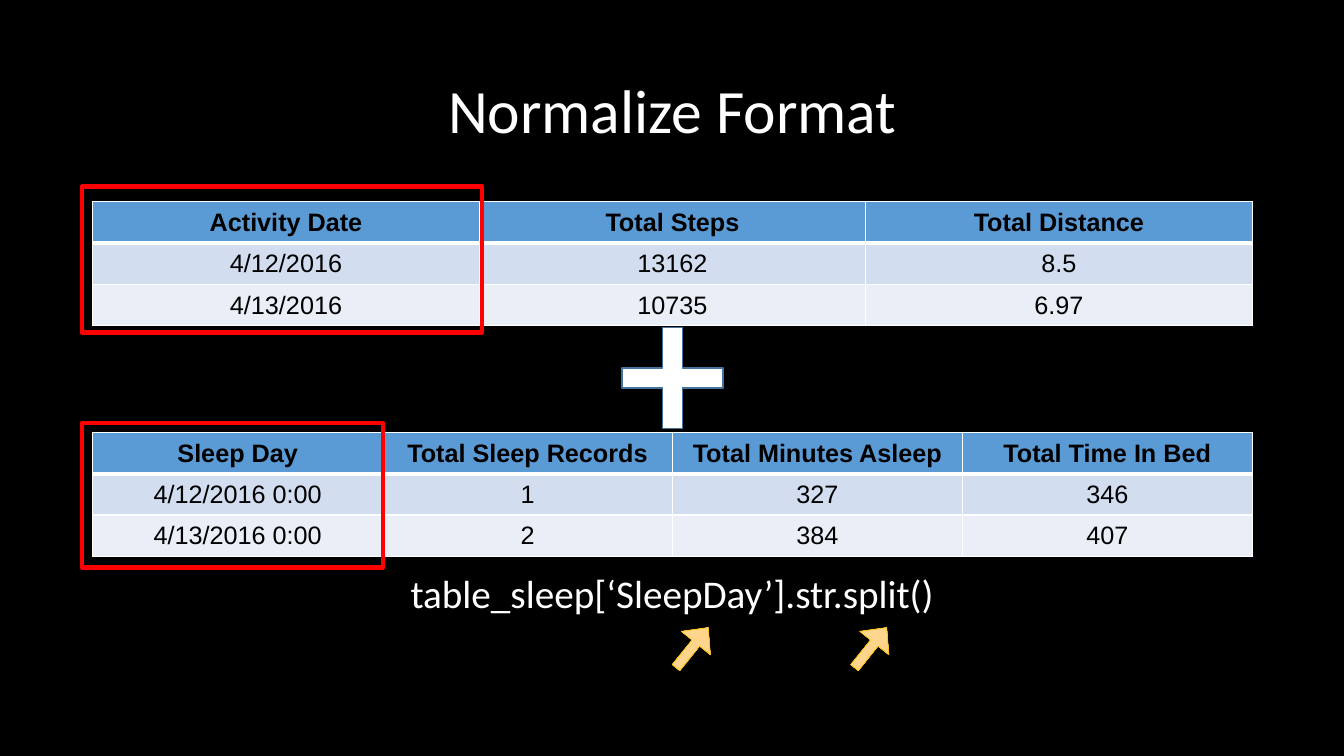
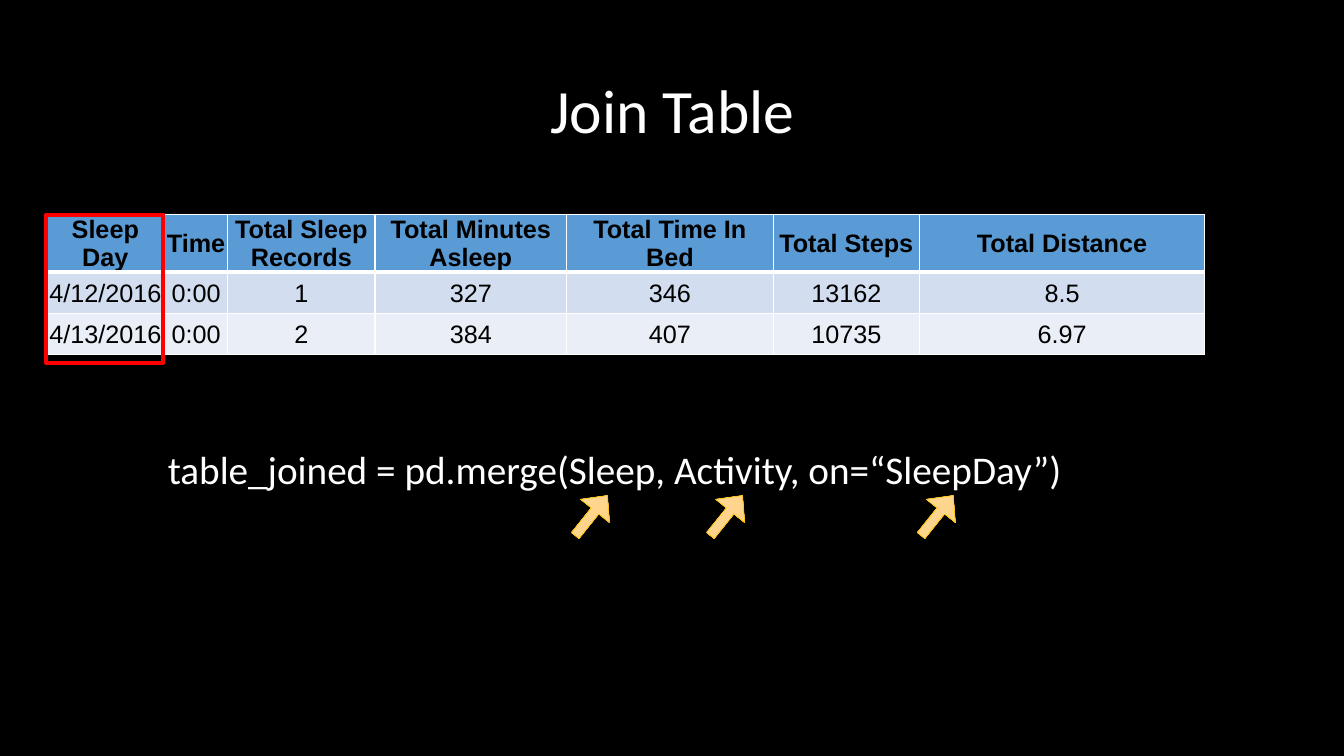
"""Build two slides on normalizing and joining activity and sleep tables."""
import lxml.etree
import pptx
import pptx.dml.color
import pptx.enum.shapes
import pptx.enum.text
import pptx.oxml.ns
import pptx.util

Inches = pptx.util.Inches
Pt = pptx.util.Pt
SHAPES = pptx.enum.shapes.MSO_SHAPE
MIDDLE = pptx.enum.text.MSO_ANCHOR.MIDDLE
CENTER = pptx.enum.text.PP_ALIGN.CENTER
AUTO_SIZE = pptx.enum.text.MSO_AUTO_SIZE
qn = pptx.oxml.ns.qn

BLACK, WHITE, RED = "000000", "FFFFFF", "FF0000"
ROW_FILLS = ["5B9BD5", "D2DEEF", "EAEFF7"]
ARROW_FILLS = ["FFDB9E", "FFD07C"]
ARROW_LINE, PLUS_LINE = "FFC000", "43739E"
ROW_HEIGHT = 0.41

SLIDES = [
    {
        "title": "Normalize Format",
        "tables": [
            (0.92, 2, [11.5 / 3] * 3, [
                ["Activity Date", "Total Steps", "Total Distance"],
                ["4/12/2016", "13162", "8.5"],
                ["4/13/2016", "10735", "6.97"],
            ]),
            (0.92, 4.29, [11.5 / 4] * 4, [
                ["Sleep Day", "Total Sleep Records", "Total Minutes Asleep", "Total Time In Bed"],
                ["4/12/2016 0:00", "1", "327", "346"],
                ["4/13/2016 0:00", "2", "384", "407"],
            ]),
        ],
        "pluses": [(6.17, 3.25, 1, 1)],
        "highlights": [(0.81, 4.2, 2.99, 1.43), (0.81, 1.85, 3.97, 1.45)],
        "code": (1.22, 5.6, "table_sleep[‘SleepDay’].str.split()"),
        "arrows": (6.24, [6.61, 8.38]),
    },
    {
        "title": "Join Table",
        "tables": [
            (0.46, 2.13, [1.17, 0.63, 1.46, 1.9, 2.05, 1.45, 2.83], [
                ["Sleep Day", "Time", "Total Sleep Records", "Total Minutes Asleep",
                 "Total Time In Bed", "Total Steps", "Total Distance"],
                ["4/12/2016", "0:00", "1", "327", "346", "13162", "8.5"],
                ["4/13/2016", "0:00", "2", "384", "407", "10735", "6.97"],
            ]),
        ],
        "pluses": [],
        "highlights": [(0.46, 2.13, 1.16, 1.47)],
        "code": (0.65, 4.37, "table_joined = pd.merge(Sleep, Activity, on=“SleepDay”)"),
        "arrows": (4.93, [5.61, 6.95, 9.04]),
    },
]


def rgb(value):
    return pptx.dml.color.RGBColor.from_string(value)


def format_text(paragraph, size, color, name="Calibri", bold=False):
    paragraph.alignment = CENTER
    paragraph.font.name = name
    paragraph.font.size = Pt(size)
    paragraph.font.bold = bold
    paragraph.font.color.rgb = rgb(color)


presentation = pptx.Presentation()
presentation.slide_width = Inches(13.33)
presentation.slide_height = Inches(7.5)
background = presentation.slide_master.background.fill
background.solid()
background.fore_color.rgb = rgb(BLACK)

for content in SLIDES:
    slide = presentation.slides.add_slide(presentation.slide_layouts[5])

    title = slide.shapes.title
    title.left, title.top = Inches(0.92), Inches(0.4)
    title.width, title.height = Inches(11.5), Inches(1.45)
    title.text_frame.text = content["title"]
    title.text_frame.vertical_anchor = MIDDLE
    title.text_frame.auto_size = AUTO_SIZE.NONE
    paragraph = title.text_frame.paragraphs[0]
    paragraph.line_spacing = 0.9
    format_text(paragraph, 44, WHITE)

    for left, top, widths, rows in content["tables"]:
        table = slide.shapes.add_table(
            len(rows), len(widths), Inches(left), Inches(top),
            Inches(sum(widths)), Inches(ROW_HEIGHT * len(rows))).table
        for column, width in zip(table.columns, widths):
            column.width = Inches(width)
        for row_index, values in enumerate(rows):
            table.rows[row_index].height = Inches(ROW_HEIGHT)
            for column_index, value in enumerate(values):
                cell = table.cell(row_index, column_index)
                cell.text = value
                cell.vertical_anchor = MIDDLE
                cell.margin_left = cell.margin_right = cell.margin_top = Inches(0.01)
                cell.margin_bottom = 0
                format_text(cell.text_frame.paragraphs[0], 18, BLACK, "Arial", row_index == 0)
                properties = cell._tc.get_or_add_tcPr()
                for side in ("lnL", "lnR", "lnT", "lnB"):
                    header_edge = (row_index, side) in [(0, "lnB"), (1, "lnT")]
                    border = lxml.etree.SubElement(
                        properties, qn("a:" + side), w=str(Pt(3 if header_edge else 1)))
                    border_fill = lxml.etree.SubElement(border, qn("a:solidFill"))
                    lxml.etree.SubElement(border_fill, qn("a:srgbClr"), val=WHITE)
                cell.fill.solid()
                cell.fill.fore_color.rgb = rgb(ROW_FILLS[row_index])

    left, top, code = content["code"]
    text_box = slide.shapes.add_textbox(Inches(left), Inches(top), Inches(10.89), Inches(0.57))
    text_box.text_frame.word_wrap = True
    text_box.text_frame.auto_size = AUTO_SIZE.SHAPE_TO_FIT_TEXT
    text_box.text_frame.text = code
    format_text(text_box.text_frame.paragraphs[0], 28, WHITE)

    arrow_top, arrow_lefts = content["arrows"]
    arrows = [(left, arrow_top, 0.51, 0.37) for left in arrow_lefts]
    for kind, boxes, line_color, line_width in [
        (SHAPES.CROSS, content["pluses"], PLUS_LINE, 1),
        (SHAPES.RECTANGLE, content["highlights"], RED, 3),
        (SHAPES.RIGHT_ARROW, arrows, ARROW_LINE, 0.5),
    ]:
        for box in boxes:
            shape = slide.shapes.add_shape(kind, *map(Inches, box))
            shape.shadow.inherit = False
            shape.line.color.rgb = rgb(line_color)
            shape.line.width = Pt(line_width)
            if kind == SHAPES.CROSS:
                shape.adjustments[0] = 0.4
                shape.fill.solid()
                shape.fill.fore_color.rgb = rgb(WHITE)
            elif kind == SHAPES.RECTANGLE:
                shape.fill.background()
            else:
                shape.rotation = 308.8
                shape.adjustments[0] = 0.26
                shape.adjustments[1] = 0.53
                shape.fill.gradient()
                shape.fill.gradient_angle = 270
                for stop, color in zip(shape.fill.gradient_stops, ARROW_FILLS):
                    stop.color.rgb = rgb(color)

presentation.save("out.pptx")
